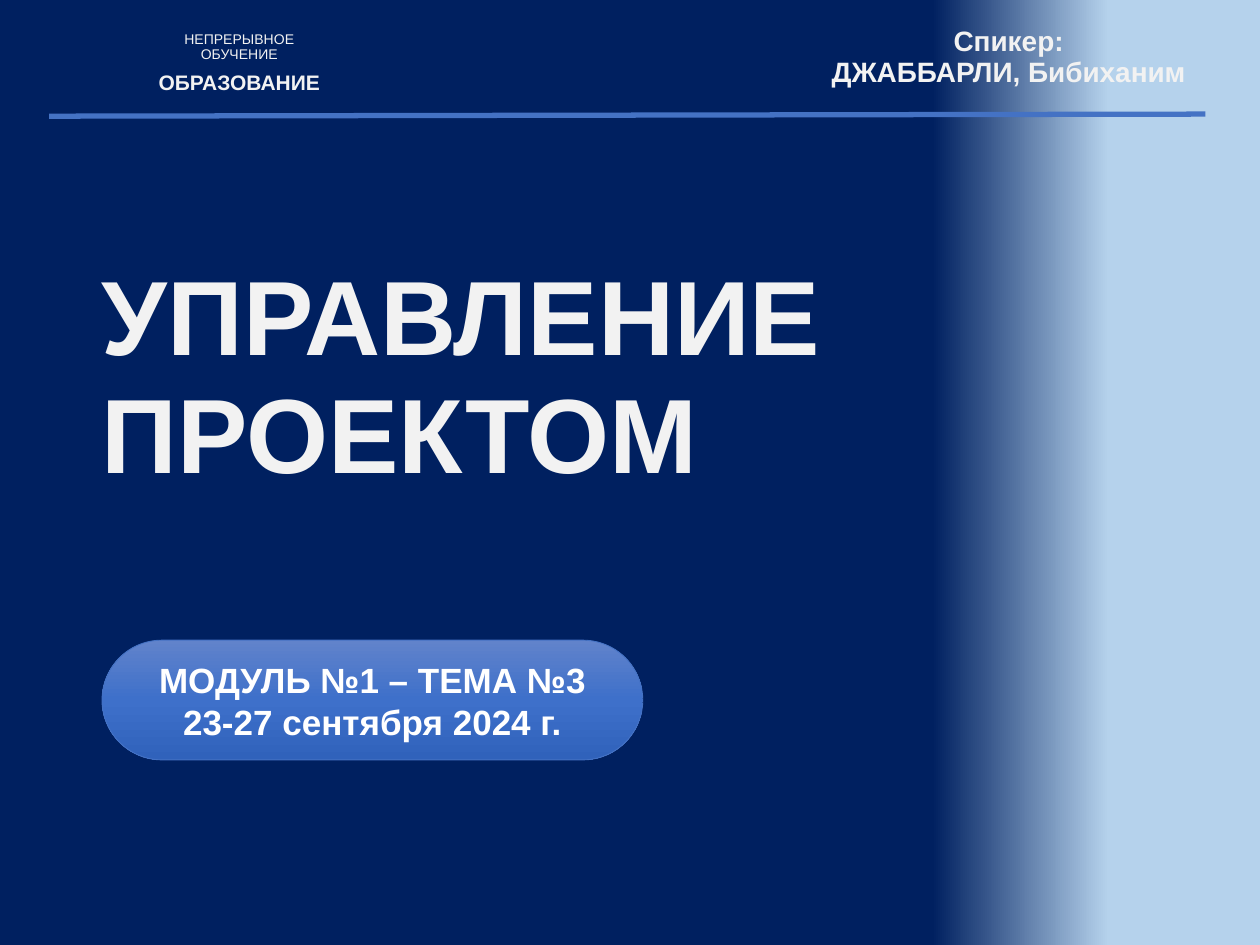
from lxml import etree
from pptx import Presentation
from pptx.dml.color import RGBColor
from pptx.enum.shapes import MSO_CONNECTOR, MSO_SHAPE
from pptx.enum.text import MSO_ANCHOR, PP_ALIGN
from pptx.oxml.ns import qn
from pptx.util import Pt


def blend(fill, root, angle, stops):
    """Give fill a gradient; root is the XML that holds it, angle runs counter-clockwise."""
    fill.gradient()
    fill.gradient_angle = angle
    items = root.find(".//" + qn("a:gsLst"))
    for old in list(items):
        items.remove(old)
    for place, tone in stops:
        stop = etree.SubElement(items, qn("a:gs"), pos=str(place * 1000))
        etree.SubElement(stop, qn("a:srgbClr"), val=tone)


def write(frame, lines, tone, align, anchor, pitch):
    """Fill frame with lines of (text, size, bold, space before)."""
    frame.word_wrap = True
    frame.vertical_anchor = anchor
    for i, (text, size, bold, gap) in enumerate(lines):
        para = frame.add_paragraph() if i else frame.paragraphs[0]
        para.alignment = align
        para.line_spacing = pitch
        para.space_before = Pt(gap)
        run = para.add_run()
        run.text = text
        run.font.name = "Arial"
        run.font.size = Pt(size)
        run.font.bold = bold
        run.font.color.rgb = RGBColor.from_string(tone)


deck = Presentation()
deck.slide_width, deck.slide_height = Pt(720), Pt(540)
slide = deck.slides.add_slide(deck.slide_layouts[6])
shapes = slide.shapes

# Background: navy, fading to light blue on the right
blend(slide.background.fill, slide.element, 180,
      [(0, "B5D2EC"), (12, "B5D2EC"), (26, "002060"), (100, "002060")])

# Module and dates
pill = shapes.add_shape(MSO_SHAPE.ROUNDED_RECTANGLE, Pt(58.3), Pt(365.8), Pt(309), Pt(68.4))
pill.adjustments[0] = 0.5
pill.shadow.inherit = False
blend(pill.fill, pill.element, 270, [(0, "6183CB"), (50, "3E70CA"), (100, "3062BB")])
pill.line.color.rgb = RGBColor.from_string("4472C4")
pill.line.width = Pt(0.5)
write(pill.text_frame,
      [("МОДУЛЬ №1 – ТЕМА №3", 20, True, 0), ("23-27 сентября 2024 г.", 20, True, 0)],
      "FFFFFF", PP_ALIGN.CENTER, MSO_ANCHOR.MIDDLE, 1.0)

# Title, raised by one line above the foot of its box
title = shapes.add_textbox(Pt(51.1), Pt(164.2), Pt(551.5), Pt(187.9)).text_frame
title.margin_bottom = Pt(68.3)
write(title, [("УПРАВЛЕНИЕ ПРОЕКТОМ", 60.3, True, 0)],
      "F2F2F2", PP_ALIGN.LEFT, MSO_ANCHOR.BOTTOM, 0.93)

# Header rule
rule = shapes.add_connector(MSO_CONNECTOR.STRAIGHT, Pt(28.1), Pt(66.4), Pt(688.8), Pt(65.2))
rule.line.color.rgb = RGBColor.from_string("4472C4")
rule.line.width = Pt(3)
etree.SubElement(rule.element.spPr, qn("a:effectLst"))

# Header texts
heads = [
    (82.8, 21.6, 108, [("НЕПРЕРЫВНОЕ ОБУЧЕНИЕ", 8, False, 0), ("ОБРАЗОВАНИЕ", 12, True, 5.2)]),
    (463.7, 18, 225.4, [("Спикер:", 16, True, 0), ("ДЖАББАРЛИ, Бибиханим", 16, True, 0)]),
]
for left, top, width, lines in heads:
    box = shapes.add_textbox(Pt(left), Pt(top), Pt(width), Pt(36))
    write(box.text_frame, lines, "F2F2F2", PP_ALIGN.CENTER, MSO_ANCHOR.BOTTOM, 0.9)

deck.save("out.pptx")
